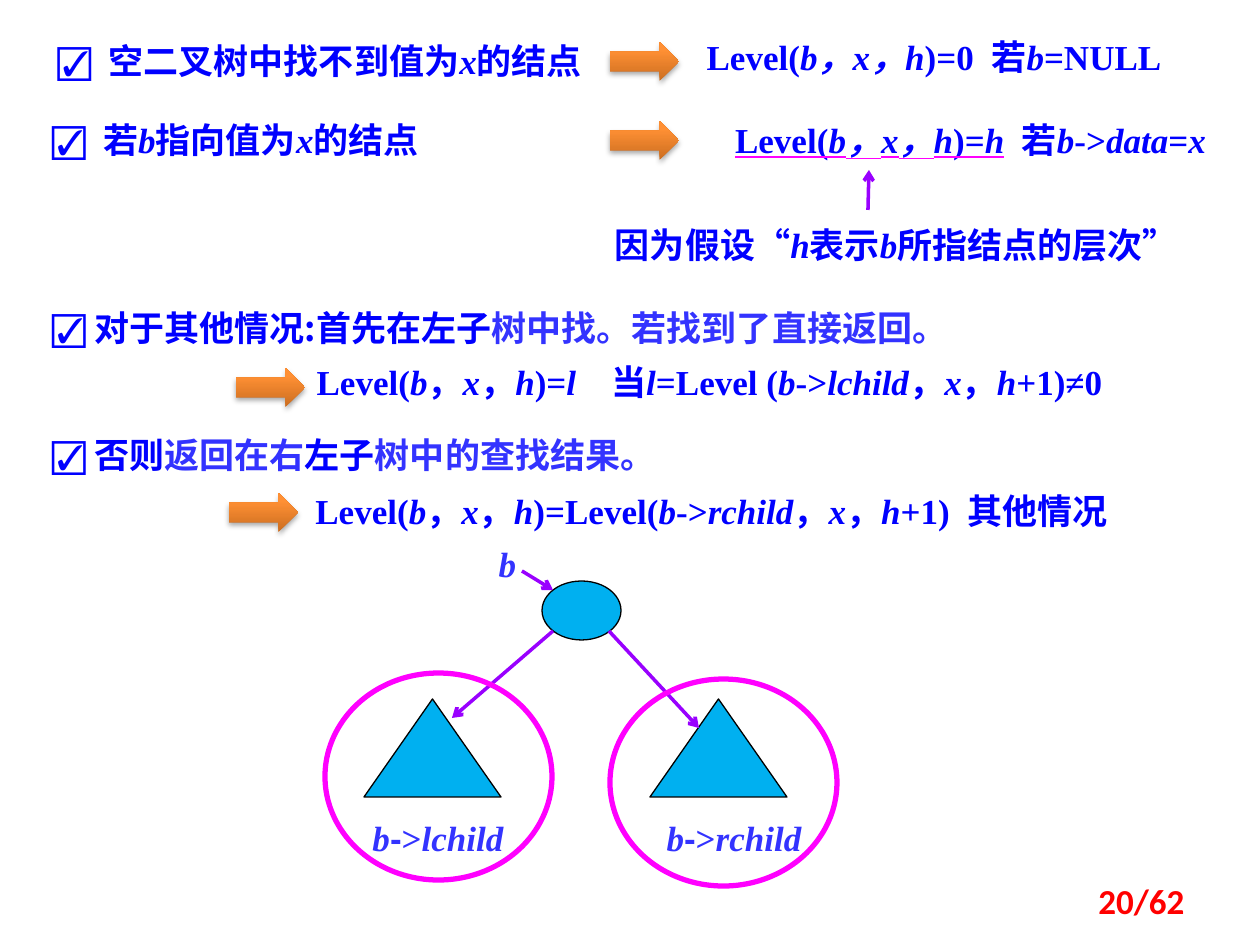
from typing import NamedTuple

from lxml import etree
from pptx import Presentation
from pptx.dml.color import RGBColor
from pptx.enum.shapes import MSO_CONNECTOR, MSO_SHAPE
from pptx.enum.text import MSO_ANCHOR, MSO_AUTO_SIZE, PP_ALIGN
from pptx.oxml.ns import qn
from pptx.util import Emu, Pt

EMU_PER_PX = 914400 / 126
LEFT, CENTER, RIGHT = PP_ALIGN.LEFT, PP_ALIGN.CENTER, PP_ALIGN.RIGHT
OVAL, TRIANGLE, ARROW = MSO_SHAPE.OVAL, MSO_SHAPE.ISOSCELES_TRIANGLE, MSO_SHAPE.RIGHT_ARROW
STRAIGHT = MSO_CONNECTOR.STRAIGHT
GROW, MIDDLE = MSO_AUTO_SIZE.SHAPE_TO_FIT_TEXT, MSO_ANCHOR.MIDDLE

ROMAN, HAN, SANS = "Times New Roman", "Noto Sans CJK SC", "Calibri"
BLUE, SOFT_BLUE, SKY, BLACK = "0000FF", "3333FF", "00B0F0", "000000"
MAGENTA, PURPLE, RED = "FF00FF", "9900FF", "FF0000"
SPACE_PT = 5  # width of one space at the 20 pt text size


class Box(NamedTuple):
    left: int
    top: int
    width: int
    height: int


class Run(NamedTuple):
    text: str
    italic: bool = False
    color: str = BLUE
    font: str = ROMAN
    underline: bool = False
    spacing: int = 0


class Passage(NamedTuple):
    box: Box
    runs: list[Run]
    align: PP_ALIGN = CENTER
    inset: bool = True
    line_pt: int = 0
    indent: int = 0


class Pointer(NamedTuple):
    start: tuple[int, int]
    end: tuple[int, int]


def px(length: int) -> Emu:
    return Emu(round(length * EMU_PER_PX))


def rgb(color: str) -> RGBColor:
    return RGBColor.from_string(color)


def formula(markup: str, color: str = BLUE, underline: bool = False) -> list[Run]:
    """Split text at asterisks: every second piece is italic."""
    return [Run(piece, index % 2 == 1, color, ROMAN, underline)
            for index, piece in enumerate(markup.split("*")) if piece]


def gap(spaces: int) -> Run:
    """One space stretched to the width of several."""
    return Run(" ", spacing=(spaces - 1) * SPACE_PT)


def add_run(paragraph, part: Run) -> None:
    run = paragraph.add_run()
    run.text = part.text
    font = run.font
    font.size, font.bold, font.italic = Pt(20), True, part.italic
    font.color.rgb = rgb(part.color)
    font.name = part.font
    properties = run._r.get_or_add_rPr()
    latin = properties.find(qn("a:latin"))
    east_asian = etree.Element(qn("a:ea"), typeface=HAN)
    latin.addnext(east_asian)
    if part.spacing:
        properties.set("spc", str(part.spacing * 100))
    if part.underline:
        font.underline = True
        underline_fill = etree.Element(qn("a:uFill"))
        solid = etree.SubElement(underline_fill, qn("a:solidFill"))
        etree.SubElement(solid, qn("a:srgbClr"), val=MAGENTA)
        latin.addprevious(underline_fill)


def add_passage(slide, passage: Passage):
    frame = slide.shapes.add_textbox(*map(px, passage.box)).text_frame
    frame.word_wrap = True
    frame.auto_size = GROW
    if not passage.inset:
        frame.margin_left = frame.margin_right = 0
        frame.margin_top = frame.margin_bottom = 0
    paragraph = frame.paragraphs[0]
    paragraph.alignment = passage.align
    if passage.line_pt:
        paragraph.line_spacing = Pt(passage.line_pt)
    if passage.indent:
        paragraph._p.get_or_add_pPr().set("indent", str(px(passage.indent)))
    for part in passage.runs:
        add_run(paragraph, part)
    return frame


def add_outlined(slide, kind, box: Box, fill: str, line: str, line_pt: float) -> None:
    shape = slide.shapes.add_shape(kind, *map(px, box))
    shape.shadow.inherit = False
    if fill:
        shape.fill.solid()
        shape.fill.fore_color.rgb = rgb(fill)
    else:
        shape.fill.background()
    shape.line.color.rgb = rgb(line)
    shape.line.width = Pt(line_pt)


def add_block_arrow(slide, left: int, top: int) -> None:
    arrow = slide.shapes.add_shape(ARROW, *map(px, Box(left, top, 69, 39)))
    arrow.shadow.inherit = False
    arrow.line.fill.background()
    arrow.fill.gradient()
    arrow.fill.gradient_angle = 90
    for stop, (position, color) in zip(arrow.fill.gradient_stops, [(0, "CC6E20"), (0.8, "FF9034")]):
        stop.position = position
        stop.color.rgb = rgb(color)
    effects = arrow._element.spPr.find(qn("a:effectLst"))
    shadow = etree.SubElement(effects, qn("a:outerShdw"), blurRad="40000", dist="23000",
                              dir="5400000", rotWithShape="0")
    shade = etree.SubElement(shadow, qn("a:srgbClr"), val=BLACK)
    etree.SubElement(shade, qn("a:alpha"), val="35000")


def add_pointer(slide, pointer: Pointer) -> None:
    line = slide.shapes.add_connector(STRAIGHT, *map(px, pointer.start + pointer.end))
    line.line.color.rgb = rgb(PURPLE)
    line.line.width = Pt(2)
    etree.SubElement(line.line._get_or_add_ln(), qn("a:tailEnd"), type="arrow")
    etree.SubElement(line._element.spPr, qn("a:effectLst"))


PASSAGES = [
    Passage(Box(39, 286, 1152, 63),
            [Run("☑ 对于其他情况:首先在左子", font=HAN),
             Run("树中找。若找到了直接返回。", color=SOFT_BLUE)], LEFT, line_pt=32),
    Passage(Box(39, 33, 561, 55),
            [Run("☑"), gap(2), *formula("空二叉树中找不到值为*x*的结点")]),
    Passage(Box(673, 29, 522, 55),
            [*formula("Level(*b，x，h*)=0"), gap(2), *formula("若*b*=NULL")]),
    Passage(Box(39, 112, 561, 55),
            [Run("☑"), gap(2), *formula("若*b*指向值为*x*的结点")], LEFT),
    Passage(Box(670, 112, 601, 55),
            [*formula("Level(*b，x，h*)=*h*", underline=True), gap(2),
             *formula("若*b*->*data*=*x*")]),
    Passage(Box(601, 217, 591, 55), formula("因为假设“*h*表示*b*所指结点的层次”")),
    Passage(Box(39, 427, 738, 55),
            [Run("☑ 否则", font=HAN), Run("返回在右", color=SOFT_BLUE),
             Run("左子", font=HAN), Run("树中的查找结果。", color=SOFT_BLUE)], LEFT),
    Passage(Box(276, 354, 867, 55),
            [*formula("Level(*b*，*x*，*h*)=*l*"), gap(4),
             *formula("当*l*=Level (*b*->*lchild*，*x*，*h*+1)≠0")]),
    Passage(Box(256, 483, 867, 55),
            [*formula("Level(*b*，*x*，*h*)=Level(*b*->*rchild*，*x*，*h*+1)"), gap(2),
             Run("其他情况")], indent=44),
    Passage(Box(493, 542, 29, 43), formula("*b*", SOFT_BLUE), inset=False),
]
CHILDREN = [("lchild", 364, 354, Box(325, 673, 227, 207)),
            ("rchild", 650, 650, Box(610, 679, 227, 207))]
POINTERS = [
    Pointer((553, 631), (452, 718)),
    Pointer((609, 631), (699, 728)),
    Pointer((522, 571), (553, 590)),
    Pointer((868, 210), (869, 170)),
]
BLOCK_ARROWS = [(610, 42), (610, 121), (236, 368), (229, 493)]


def main() -> None:
    deck = Presentation()
    deck.slide_width, deck.slide_height = px(1260), px(945)
    slide = deck.slides.add_slide(deck.slide_layouts[6])

    add_outlined(slide, OVAL, Box(542, 581, 79, 59), SKY, BLACK, 0.75)
    for _, subtree_left, _, _ in CHILDREN:
        add_outlined(slide, TRIANGLE, Box(subtree_left, 699, 137, 98), SKY, BLACK, 0.75)
    for pointer in POINTERS:
        add_pointer(slide, pointer)
    for child, _, label_left, ring in CHILDREN:
        label = [Run("b", True, SOFT_BLUE), Run("-", color=SOFT_BLUE, font="Arial"),
                 Run(">", color=SOFT_BLUE), Run(child, True, SOFT_BLUE)]
        add_passage(slide, Passage(Box(label_left, 816, 168, 43), label, inset=False))
        add_outlined(slide, OVAL, ring, "", MAGENTA, 3)
    for passage in PASSAGES:
        add_passage(slide, passage)
    for left, top in BLOCK_ARROWS:
        add_block_arrow(slide, left, top)

    page_number = Passage(Box(903, 876, 294, 50), [Run("20/62", color=RED, font=SANS)], RIGHT)
    add_passage(slide, page_number).vertical_anchor = MIDDLE
    deck.save("out.pptx")


if __name__ == "__main__":
    main()
